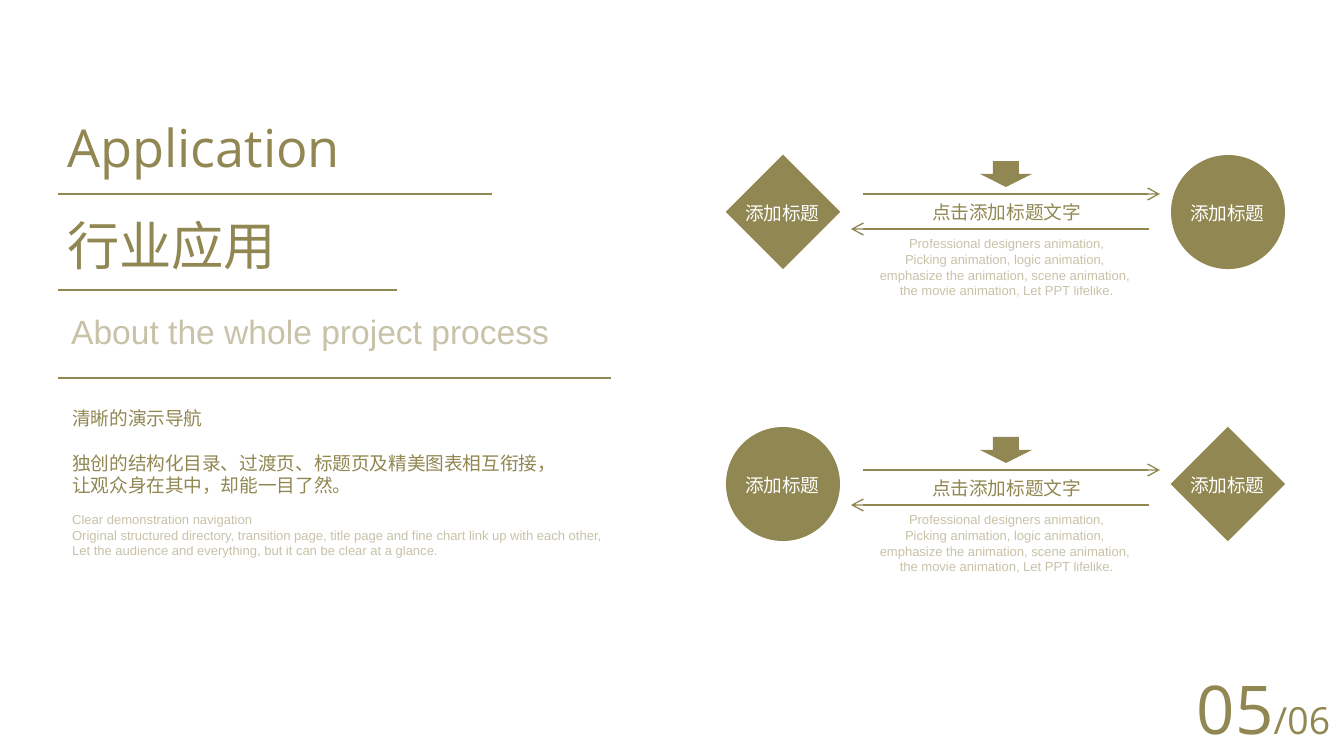
from pptx import Presentation
from pptx.dml.color import RGBColor
from pptx.enum.shapes import MSO_CONNECTOR, MSO_SHAPE
from pptx.enum.text import MSO_ANCHOR, PP_ALIGN
from pptx.oxml.ns import qn
from pptx.util import Pt
from lxml.etree import SubElement

PX = 6804  # EMU per pixel
COLORS = {"olive": "918752", "white": "FFFFFF"}
CJK, LATIN, DISPLAY = "Noto Sans CJK SC", "Arial", "Open Sans"

TITLE = "Application"
SUBTITLE = "行业应用"
TAGLINE = "About the whole project process"
RULES = [(194, 492), (290, 397), (378, 611)]  # y, right end
INTRO_CJK = ["清晰的演示导航",
             "独创的结构化目录、过渡页、标题页及精美图表相互衔接，",
             "让观众身在其中，却能一目了然。"]
INTRO_EN = ["Clear demonstration navigation",
            "Original structured directory, transition page, title page and "
            "fine chart link up with each other,",
            "Let the audience and everything, but it can be clear at a glance."]
NODE_LABEL = "添加标题"
LINK_LABEL = "点击添加标题文字"
LINK_TEXT = ["Professional designers animation,",
             "Picking animation, logic animation, ",
             "emphasize the animation, scene animation, ",
             "the movie animation, Let PPT lifelike."]
NODE_X = (783, 1228)
# node centre y, upper arrow y, shapes from left to right
ROWS = [(212, 194, ("diamond", "circle")), (484, 470, ("circle", "diamond"))]

prs = Presentation()
prs.slide_width, prs.slide_height = 1344 * PX, 756 * PX
s = prs.slides.add_slide(prs.slide_layouts[5])


def px(*values):
    """Turn pixels into EMU."""
    return [round(v * PX) for v in values]


def style(font, size, name, color="olive"):
    """Set size, typeface and colour of a font."""
    font.size, font.name = Pt(size), name
    font.color.rgb = RGBColor.from_string(COLORS[color])


def fill_text(sp, box, lines, size, name, color="olive",
              align=PP_ALIGN.LEFT, faded=False):
    """Place a text shape and write one paragraph per line."""
    sp.left, sp.top, sp.width, sp.height = px(*box)
    tf = sp.text_frame
    tf.word_wrap, tf.vertical_anchor = False, MSO_ANCHOR.TOP
    tf.text = "\n".join(lines)
    for p in tf.paragraphs:
        p.alignment = align
        style(p.font, size, name, color)
        rpr = p.font._element
        if faded:
            SubElement(rpr.find(".//" + qn("a:srgbClr")), qn("a:alpha"), val="50000")
        if name == CJK:
            rpr.find(qn("a:latin")).addnext(
                rpr.makeelement(qn("a:ea"), {"typeface": CJK}))
    return tf


def text(box, lines, size, name, **options):
    """Add a text box."""
    return fill_text(s.shapes.add_textbox(0, 0, 0, 0), box, lines, size, name, **options)


def shape(kind, cx, cy, w, h, rotation=0):
    """Add a filled shape around a centre."""
    sp = s.shapes.add_shape(kind, *px(cx - w / 2, cy - h / 2, w, h))
    sp.shadow.inherit = False
    sp.fill.solid()
    sp.fill.fore_color.rgb = RGBColor.from_string(COLORS["olive"])
    sp.line.fill.background()
    sp.rotation = rotation


def line(x1, x2, y, arrow=False):
    """Add a horizontal line, with an open arrowhead at x2 if wanted."""
    c = s.shapes.add_connector(MSO_CONNECTOR.STRAIGHT, *px(x1, y, x2, y))
    c.line.color.rgb = RGBColor.from_string(COLORS["olive"])
    c.line.width = Pt(0.75)
    if arrow:
        SubElement(c.line._get_or_add_ln(), qn("a:tailEnd"), type="arrow")
    SubElement(c._element.spPr, qn("a:effectLst"))


def node(kind, cx, cy):
    """Add a diamond or circle with its label."""
    if kind == "diamond":
        shape(MSO_SHAPE.RECTANGLE, cx, cy, 81, 81, 45)
    else:
        shape(MSO_SHAPE.OVAL, cx, cy, 114, 114)
    text((cx - 51, cy - 17, 102, 36), [NODE_LABEL], 10, CJK, color="white")


def link(y):
    """Add the two arrows between nodes with their texts."""
    shape(MSO_SHAPE.DOWN_ARROW, 1006, y - 20, 52, 26)
    line(863, 1160, y, arrow=True)
    line(1149, 851, y + 35, arrow=True)
    text((918, y, 177, 36), [LINK_LABEL], 10, CJK, align=PP_ALIGN.CENTER)
    text((864, y + 35, 285, 77), LINK_TEXT, 7, LATIN,
         align=PP_ALIGN.CENTER, faded=True)


fill_text(s.shapes.title, (54, 109, 362, 77), [TITLE], 28, DISPLAY)
text((54, 207, 238, 77), [SUBTITLE], 28, CJK)
text((58, 304, 509, 54), [TAGLINE], 18, LATIN, faded=True)
for y, right in RULES:
    line(58, right, y)
intro = text((59, 400, 517, 104), INTRO_CJK, 10, CJK)
intro.paragraphs[1].space_before = Pt(12)
text((59, 505, 567, 60), INTRO_EN, 7, LATIN, faded=True)

for cy, link_y, kinds in ROWS:
    for kind, cx in zip(kinds, NODE_X):
        node(kind, cx, cy)
    link(link_y)

page = text((1183, 661, 161, 95), [""], 36, DISPLAY, align=PP_ALIGN.CENTER)
for part, size in (("05", 36), ("/06", 20)):
    r = page.paragraphs[0].add_run()
    r.text = part
    style(r.font, size, DISPLAY)

prs.save("out.pptx")
